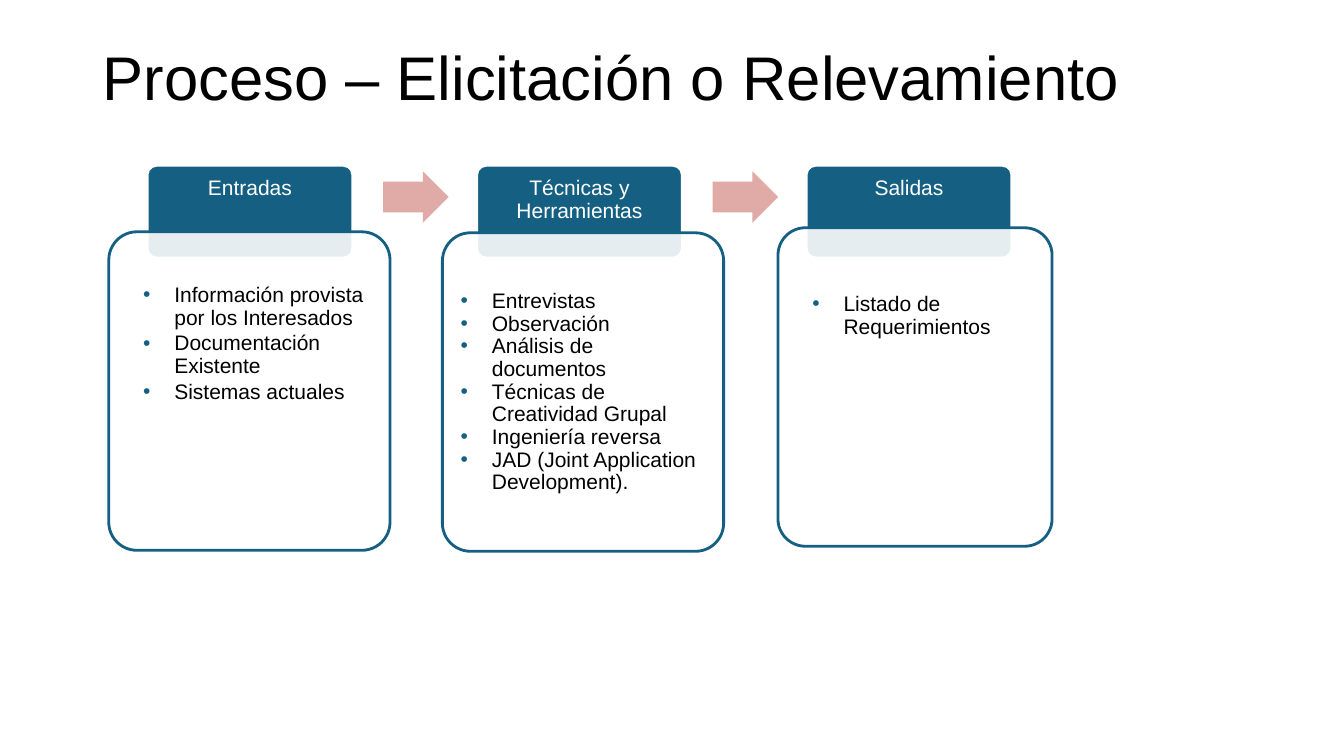
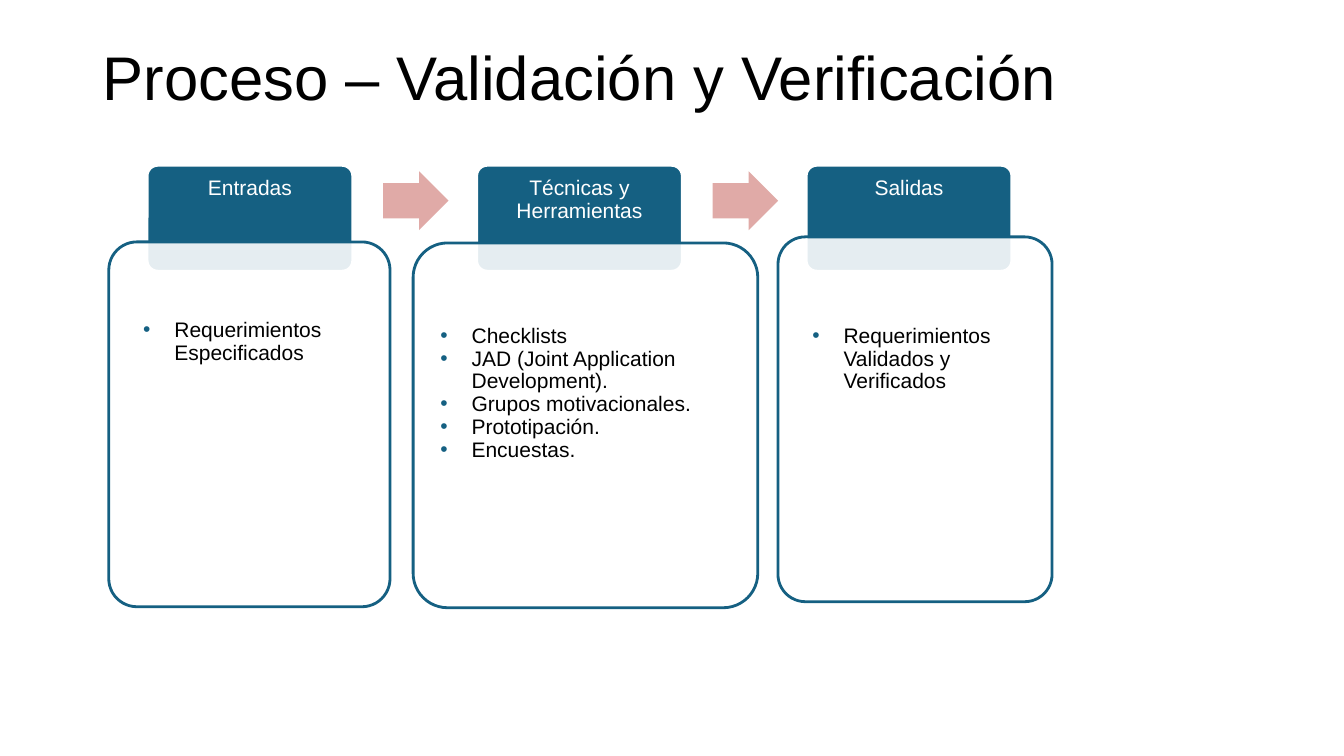
from dataclasses import dataclass

from lxml.etree import SubElement
from pptx import Presentation
from pptx.dml.color import RGBColor as RGB
from pptx.enum.shapes import MSO_SHAPE as SHAPE
from pptx.enum.text import MSO_ANCHOR as ANCHOR, PP_ALIGN as ALIGN
from pptx.oxml.ns import qn
from pptx.util import Pt


@dataclass(frozen=True)
class Theme:
    """Colours, type sizes and line measures shared by the slides."""
    ink: RGB = RGB(0x00, 0x00, 0x00)
    paper: RGB = RGB(0xFF, 0xFF, 0xFF)
    accent: RGB = RGB(0x15, 0x60, 0x82)
    arrow: RGB = RGB(0xE0, 0xAA, 0xA7)
    font: str = "Arial"
    title_size: float = 44
    body_size: float = 15
    leading: float = 0.9
    hanging: float = 22.3
    outline: float = 2
    card_alpha: int = 89000
    corner: float = 0.1


@dataclass(frozen=True)
class Stage:
    """Content of one process stage and its card's place under the tab."""
    heading: str
    items: tuple
    shift: float
    drop: float
    width: float
    insets: tuple
    gap: float = 0


@dataclass(frozen=True)
class Process:
    """One process slide: title, heights and stages."""
    title: str
    tab_height: float
    card_height: float
    stages: tuple


THEME = Theme()
TITLE_BOX = (66.2, 28.8, 828, 56.9)
FLOW_LEFT, FLOW_TOP, FLOW_PITCH = 105.1, 118.1, 235.4
TAB_WIDTH = 146.9
TAB_INSETS = (8.6, 8.6, 8.6)
ARROW_LEFT, ARROW_TOP, ARROW_WIDTH = 168.5, 4.3, 46.8
ARROW_RATIO = 0.555
ROUND_TEXT_RATIO = 0.29

PROCESSES = (
    Process("Proceso – Elicitación o Relevamiento", 66.2, 227.5, (
        Stage("Entradas",
              ("Información provista por los Interesados",
               "Documentación Existente", "Sistemas actuales"),
              -27.4, 47.5, 200.9, (24.5, 37.5, 15.8), gap=2.2),
        Stage("Técnicas y Herramientas",
              ("Entrevistas", "Observación", "Análisis de documentos",
               "Técnicas de Creatividad Grupal", "Ingeniería reversa",
               "JAD (Joint Application Development)."),
              -24.5, 48.2, 200.9, (13, 41, 13.3)),
        Stage("Salidas", ("Listado de Requerimientos",),
              -20.2, 44.6, 195.8, (24.5, 46.8, 12.2)),
    )),
    Process("Proceso – Validación y Verificación", 75.6, 260.6, (
        Stage("Entradas", ("Requerimientos Especificados",),
              -27.4, 54.7, 200.9, (24.5, 55.3, 15.8)),
        Stage("Técnicas y Herramientas",
              ("Checklists", "JAD (Joint Application Development).",
               "Grupos motivacionales.", "Prototipación.", "Encuestas."),
              -45.4, 55.4, 246.2, (19.4, 58.9, 19.4)),
        Stage("Salidas", ("Requerimientos Validados y Verificados",),
              -20.2, 51.1, 195.8, (24.5, 63.2, 12.2)),
    )),
)


def assign(target, values):
    """Set each named format value on the target."""
    for name, value in values.items():
        setattr(target, name, value)


def points(lengths):
    """Turn numbers into point lengths."""
    return [Pt(length) for length in lengths]


def write(frame, lines, size, colour, align=ALIGN.LEFT, gap=0):
    """Write the lines as paragraphs and return them."""
    paragraphs = []
    for index, line in enumerate(lines):
        paragraph = frame.add_paragraph() if index else frame.paragraphs[0]
        assign(paragraph, {"text": line, "alignment": align,
                           "line_spacing": THEME.leading,
                           "space_before": Pt(gap if index else 0)})
        font = paragraph.runs[0].font
        assign(font, {"name": THEME.font, "size": Pt(size)})
        font.color.rgb = colour
        paragraphs.append(paragraph)
    return paragraphs


def add_bullet(paragraph):
    """Give the paragraph a hanging accent bullet."""
    props = paragraph._p.get_or_add_pPr()
    props.set("marL", str(Pt(THEME.hanging)))
    props.set("indent", str(-Pt(THEME.hanging)))
    colour = SubElement(props, qn("a:buClr"))
    SubElement(colour, qn("a:srgbClr"), val=str(THEME.accent))
    SubElement(props, qn("a:buFont"), typeface=THEME.font)
    SubElement(props, qn("a:buChar"), char="•")


def add_block(slide, preset, box, fill, line=None):
    """Add a flat preset shape with its fill and optional outline."""
    block = slide.shapes.add_shape(preset, *points(box))
    block.shadow.inherit = False
    block.fill.solid()
    block.fill.fore_color.rgb = fill
    if line is None:
        block.line.fill.background()
    else:
        block.line.color.rgb = line
        block.line.width = Pt(THEME.outline)
    return block


def add_panel(slide, box, fill, line, insets):
    """Add a rounded panel whose text insets count from its outer edges."""
    panel = add_block(slide, SHAPE.ROUNDED_RECTANGLE, box, fill, line)
    panel.adjustments[0] = THEME.corner
    rounding = ROUND_TEXT_RATIO * THEME.corner * min(box[2:])
    left, top, right = points(inset - rounding for inset in insets)
    assign(panel.text_frame, {"word_wrap": True, "vertical_anchor": ANCHOR.TOP,
                              "margin_left": left, "margin_top": top,
                              "margin_right": right, "margin_bottom": 0})
    return panel


def add_title(slide, box, title):
    """Place the slide title in the box."""
    frame = slide.shapes.add_textbox(*points(box)).text_frame
    assign(frame, {"word_wrap": True, "vertical_anchor": ANCHOR.MIDDLE})
    write(frame, [title], THEME.title_size, THEME.ink)


def add_stage(slide, box, stage, card_height):
    """Place the heading tab in the box and the card below it."""
    left, top = box[:2]
    tab = add_panel(slide, box, THEME.accent, THEME.paper, TAB_INSETS)
    write(tab.text_frame, [stage.heading], THEME.body_size, THEME.paper,
          ALIGN.CENTER)
    card_box = (left + stage.shift, top + stage.drop, stage.width, card_height)
    card = add_panel(slide, card_box, THEME.paper, THEME.accent, stage.insets)
    paper = card.fill._xPr.find(qn("a:solidFill"))[0]
    SubElement(paper, qn("a:alpha"), val=str(THEME.card_alpha))
    for item in write(card.text_frame, stage.items, THEME.body_size,
                      THEME.ink, gap=stage.gap):
        add_bullet(item)


def add_arrow(slide, tab_box):
    """Place the arrow that leads on from a tab."""
    left, top, _, height = tab_box
    arrow = add_block(slide, SHAPE.RIGHT_ARROW,
                      (left + ARROW_LEFT, top + ARROW_TOP, ARROW_WIDTH,
                       height * ARROW_RATIO), THEME.arrow)
    arrow.adjustments[0] = 0.6
    arrow.adjustments[1] = 0.5


def add_process(deck, process):
    """Add one slide with the title and the flow of stages."""
    slide = deck.slides.add_slide(deck.slide_layouts[6])
    add_title(slide, TITLE_BOX, process.title)
    for index, stage in enumerate(process.stages):
        tab_box = (FLOW_LEFT + index * FLOW_PITCH, FLOW_TOP, TAB_WIDTH,
                   process.tab_height)
        add_stage(slide, tab_box, stage, process.card_height)
        if index < len(process.stages) - 1:
            add_arrow(slide, tab_box)


def main():
    """Build and save the deck."""
    deck = Presentation()
    assign(deck, {"slide_width": Pt(960), "slide_height": Pt(540)})
    for process in PROCESSES:
        add_process(deck, process)
    deck.save("out.pptx")


if __name__ == "__main__":
    main()
